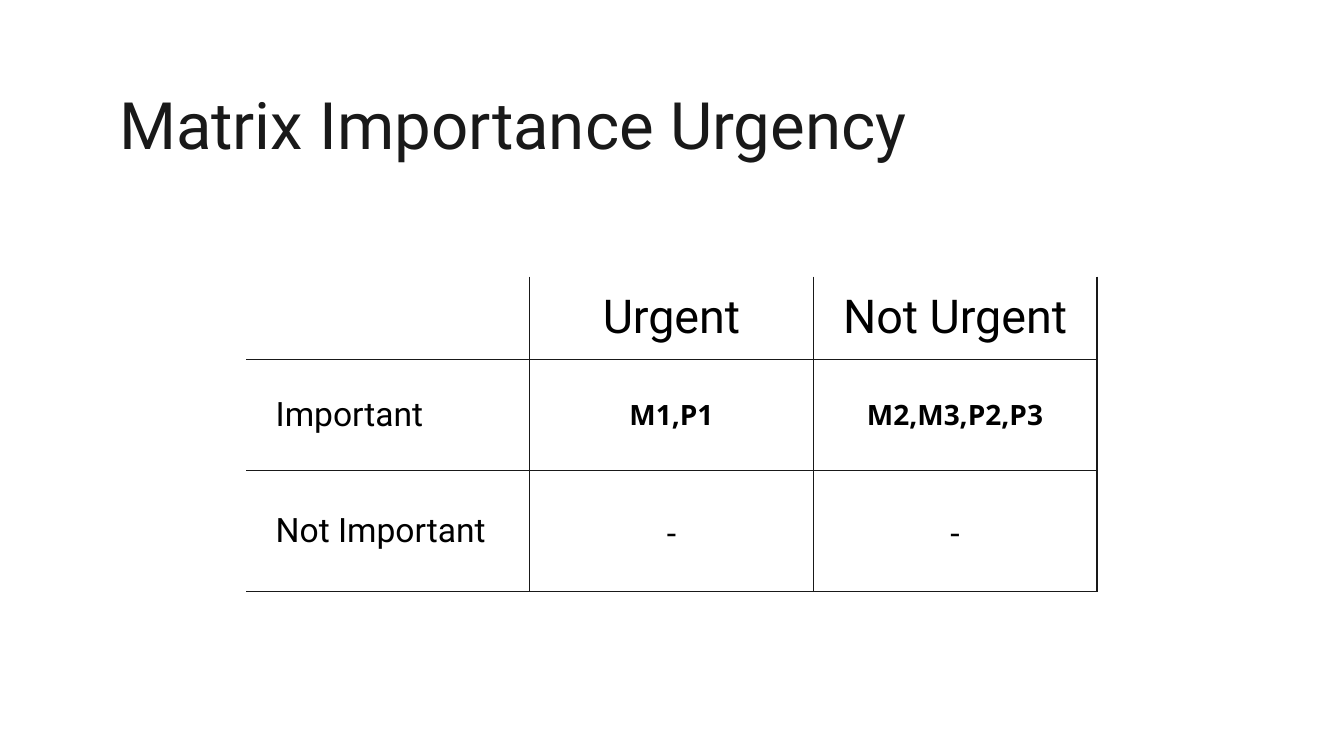
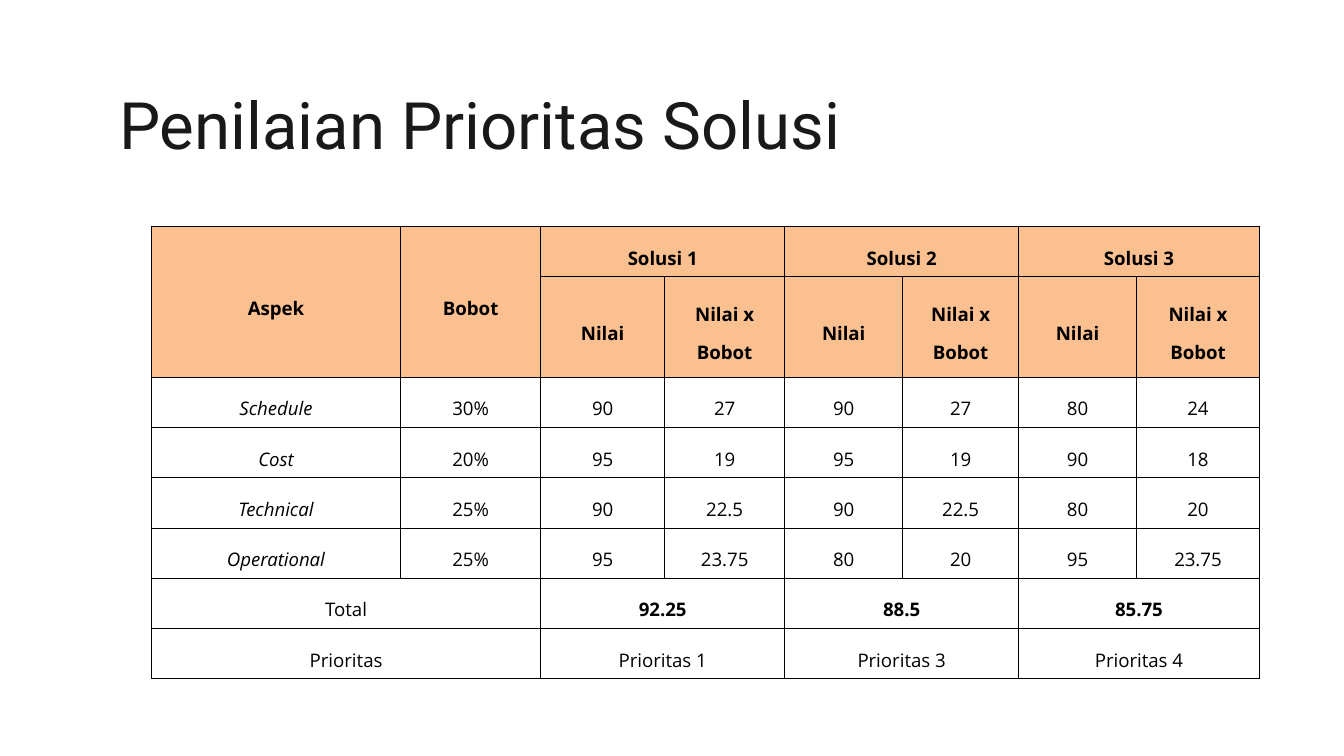
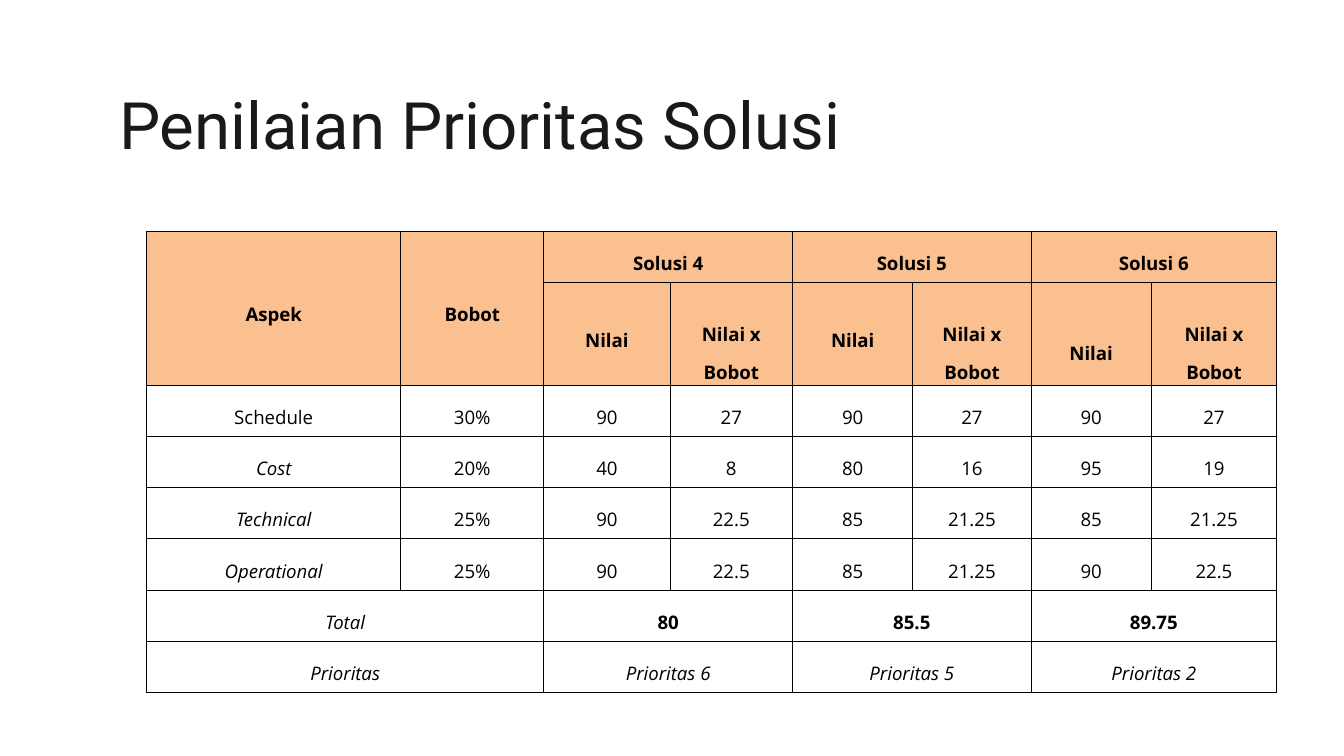
import pptx
import pptx.util
import pptx.dml.color
import pptx.enum.text
import pptx.oxml.ns
from lxml import etree

Cm, Pt = pptx.util.Cm, pptx.util.Pt
RGBColor = pptx.dml.color.RGBColor
CENTER = pptx.enum.text.PP_ALIGN.CENTER
TOP = pptx.enum.text.MSO_ANCHOR.TOP
MIDDLE = pptx.enum.text.MSO_ANCHOR.MIDDLE

# Content
MATRIX_TITLE = "Matrix Importance Urgency"
MATRIX = [
    ["", "Urgent", "Not Urgent"],
    ["Important", "M1,P1", "M2,M3,P2,P3"],
    ["Not Important", "-", "-"],
]

SCORING_TITLE = "Penilaian Prioritas Solusi"
ASPECTS = [("Schedule", 30), ("Cost", 20), ("Technical", 25), ("Operational", 25)]
SCORINGS = [
    {
        "left": 2.86, "top": 4.28, "scale": 1,
        # solution number, score per aspect, priority
        "solutions": [(1, [90, 95, 90, 95], 1), (2, [90, 95, 90, 80], 3),
                      (3, [80, 90, 80, 95], 4)],
        "italic": ["Schedule", "Cost", "Technical", "Operational"],
        "lowered": [],
    },
    {
        "left": 2.77, "top": 4.37, "scale": 1.02,
        "solutions": [(4, [90, 40, 90, 90], 6), (5, [90, 80, 85, 85], 5),
                      (6, [90, 95, 85, 90], 2)],
        "italic": ["Cost", "Technical", "Operational", "Total", "Prioritas"],
        "lowered": [3, 5, 6, 7],  # header columns whose text sits lower
    },
]

# Shared look
INK = RGBColor(0x19, 0x19, 0x19)
BLACK = RGBColor(0, 0, 0)
PEACH = RGBColor(0xFA, 0xC0, 0x90)
HEADING_FONT, BODY_FONT = "Roboto", "Open Sans"
INSET = 0.25
MATRIX_COLUMN, MATRIX_ROWS = 5.36, [1.53, 2.11, 2.28]
SCORING_COLUMNS = [4.71, 2.65, 2.34, 2.27, 2.23, 2.19, 2.23, 2.32]
SCORING_ROW = 0.95
LOWERING = 0.49

deck = pptx.Presentation()
deck.slide_width, deck.slide_height = Cm(25.4), Cm(14.29)


def set_font(paragraph, name, size, color, bold=False, italic=False):
    font = paragraph.font
    font.name, font.size, font.bold, font.italic = name, Pt(size), bold, italic
    font.color.rgb = color


def add_titled_slide(title):
    slide = deck.slides.add_slide(deck.slide_layouts[6])
    heading = slide.shapes.add_textbox(Cm(2), Cm(1.25), Cm(18.26), Cm(1.6)).text_frame
    heading.word_wrap = True
    heading.margin_left = heading.margin_right = heading.margin_bottom = Cm(INSET)
    heading.margin_top = Cm(0.35)
    heading.text = title
    set_font(heading.paragraphs[0], HEADING_FONT, 35, INK)
    return slide


def add_plain_table(slide, left, top, widths, heights):
    frame = slide.shapes.add_table(len(heights), len(widths), Cm(left), Cm(top),
                                   Cm(sum(widths)), Cm(sum(heights)))
    table = frame.table
    table.first_row = table.horz_banding = False
    for column, width in zip(table.columns, widths):
        column.width = Cm(width)
    for row, height in zip(table.rows, heights):
        row.height = Cm(height)
    return table


def set_borders(cell, color, width, hidden=""):
    """Draw the four sides, except those whose letter is in hidden."""
    qn = pptx.oxml.ns.qn
    properties = cell._tc.get_or_add_tcPr()
    for position, side in enumerate("LRTB"):
        line = etree.Element(qn("a:ln" + side), w=str(Pt(width)))
        if side in hidden:
            etree.SubElement(line, qn("a:noFill"))
        else:
            fill = etree.SubElement(line, qn("a:solidFill"))
            etree.SubElement(fill, qn("a:srgbClr"), val=str(color))
        properties.insert(position, line)


def fill_cell(cell, text, side_inset, end_inset, anchor=MIDDLE):
    cell.margin_left = cell.margin_right = Cm(side_inset)
    cell.margin_top = cell.margin_bottom = Cm(end_inset)
    cell.vertical_anchor = anchor
    cell.text = text
    paragraph = cell.text_frame.paragraphs[0]
    paragraph.alignment = CENTER
    return paragraph


def add_matrix(slide):
    table = add_plain_table(slide, 4.65, 5.23, [MATRIX_COLUMN] * 3, MATRIX_ROWS)
    for r, row in enumerate(MATRIX):
        for c, text in enumerate(row):
            cell = table.cell(r, c)
            cell.fill.background()
            set_borders(cell, INK, 0.75, ("T" if r == 0 else "") + ("L" if c == 0 else ""))
            paragraph = fill_cell(cell, text, INSET, INSET, TOP if r == 0 else MIDDLE)
            if r == 0:
                set_font(paragraph, HEADING_FONT, 25, BLACK)
            elif c == 0:
                paragraph.alignment = None
                cell.margin_left = Cm(0.56)
                set_font(paragraph, HEADING_FONT, 18, BLACK)
            elif text == "-":
                set_font(paragraph, BODY_FONT, 18, BLACK)
            else:
                set_font(paragraph, BODY_FONT, 15, BLACK, bold=True)


def scoring_rows(solutions):
    """Rows of text; None marks a cell covered by a merge."""
    rows = [["Aspek", "Bobot"], [None, None]]
    rows += [[name, f"{weight}%"] for name, weight in ASPECTS]
    rows += [["Total", None], ["Prioritas", None]]
    for number, scores, priority in solutions:
        weighted = [score * weight / 100 for score, (_, weight) in zip(scores, ASPECTS)]
        pairs = [(f"Solusi {number}", None), ("Nilai", "Nilai x Bobot")]
        pairs += [(str(score), f"{value:g}") for score, value in zip(scores, weighted)]
        pairs += [(f"{sum(weighted):g}", None), (f"Prioritas {priority}", None)]
        for row, pair in zip(rows, pairs):
            row.extend(pair)
    return rows


def add_scoring(slide, scoring):
    rows = scoring_rows(scoring["solutions"])
    height = SCORING_ROW * scoring["scale"]
    heights = [height, 2 * height] + [height] * (len(rows) - 2)
    widths = [width * scoring["scale"] for width in SCORING_COLUMNS]
    table = add_plain_table(slide, scoring["left"], scoring["top"], widths, heights)
    total_row, priority_row = len(rows) - 2, len(rows) - 1

    for r, row in enumerate(rows):
        for c, text in enumerate(row):
            cell = table.cell(r, c)
            header = r < 2
            if header:
                cell.fill.solid()
                cell.fill.fore_color.rgb = PEACH
            else:
                cell.fill.background()
            set_borders(cell, BLACK, 0.5)
            if text is None:
                continue
            paragraph = fill_cell(cell, text, 0.2, 0)
            paragraph.line_spacing = 1.5
            if r == 1 and c in scoring["lowered"]:
                cell.margin_top = Cm(LOWERING)
            labelled = c == 0 or r == priority_row
            set_font(paragraph, BODY_FONT, 10, BLACK,
                     bold=header or (r == total_row and c > 0),
                     italic=labelled and row[0] in scoring["italic"])

    # Merged headers and summary cells
    for c in (0, 1):
        table.cell(0, c).merge(table.cell(1, c))
    for r in (0, total_row, priority_row):
        for c in range(2 if r == 0 else 0, len(widths), 2):
            table.cell(r, c).merge(table.cell(r, c + 1))


# Slides
add_matrix(add_titled_slide(MATRIX_TITLE))
for scoring in SCORINGS:
    add_scoring(add_titled_slide(SCORING_TITLE), scoring)

deck.save("out.pptx")
